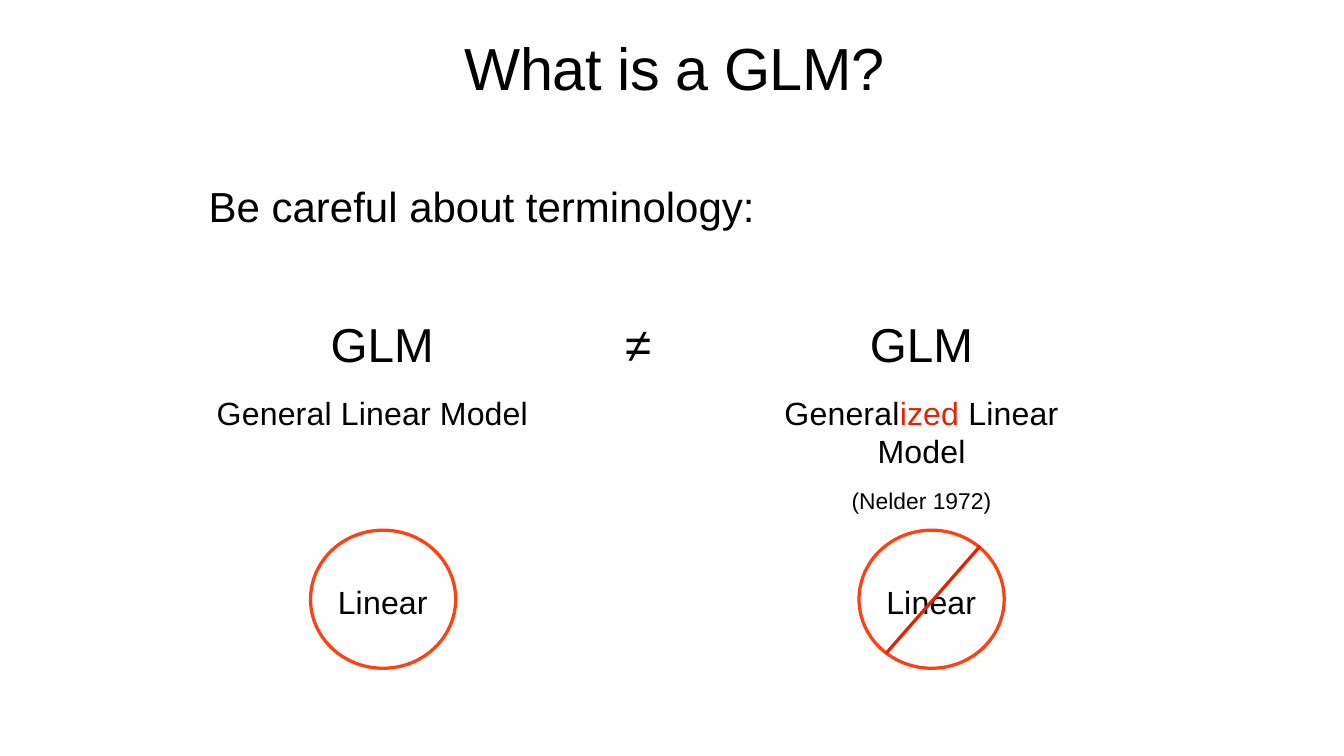
"""Build a slide that contrasts the general and the generalized linear model."""
from pptx import Presentation
from pptx.dml.color import RGBColor
from pptx.enum.shapes import MSO_CONNECTOR, MSO_SHAPE
from pptx.enum.text import PP_ALIGN
from pptx.util import Inches, Pt
from lxml.etree import SubElement
from pptx.oxml.ns import qn

COLORS = {"text": "000000", "accent": "E32400", "ring": "FF4013"}
FONT = "Arial"
LINE_WIDTH = Pt(2.32)
HEADING, LABEL, CITATION = 34, 22.9, 16.3
RING_TOP, RING_WIDTH, RING_HEIGHT = 5.26, 1.44, 1.37


def rgb(name):
    """Return the named colour."""
    return RGBColor.from_string(COLORS[name])


def add_text_box(slide, left, top, width, height):
    """Add a wrapping text box without margins and return its text frame."""
    frame = slide.shapes.add_textbox(
        Inches(left), Inches(top), Inches(width), Inches(height)).text_frame
    frame.word_wrap = True
    frame.margin_left = frame.margin_right = 0
    frame.margin_top = frame.margin_bottom = 0
    return frame


def write_paragraph(paragraph, parts, size, align=PP_ALIGN.LEFT,
                    before=0, indent=0, tracking=0):
    """Fill a paragraph with (text, colour name) parts."""
    paragraph.alignment = align
    paragraph.space_before = Pt(before)
    paragraph.font.name = FONT
    paragraph.font.size = Pt(size)
    paragraph._p.get_or_add_pPr().set("marL", str(Inches(indent)))
    for text, color in parts:
        run = paragraph.add_run()
        run.text = text
        run.font.color.rgb = rgb(color)
        run._r.get_or_add_rPr().set("spc", str(tracking))


def add_label(slide, text, box, size, **style):
    """Add a text box holding one paragraph of plain text."""
    frame = add_text_box(slide, *box)
    write_paragraph(frame.paragraphs[0], [(text, "text")], size, **style)


def add_linear_ring(slide, left):
    """Add an outlined ellipse around the word Linear."""
    add_label(slide, "Linear", (left + 0.27, 5.78, 0.95, 0.39), LABEL, tracking=10)
    ring = slide.shapes.add_shape(
        MSO_SHAPE.OVAL, Inches(left), Inches(RING_TOP),
        Inches(RING_WIDTH), Inches(RING_HEIGHT))
    ring.shadow.inherit = False
    ring.fill.background()
    ring.line.color.rgb = rgb("ring")
    ring.line.width = LINE_WIDTH


def add_strike(slide, start, end):
    """Add a straight line that crosses out a ring."""
    strike = slide.shapes.add_connector(
        MSO_CONNECTOR.STRAIGHT, *(Inches(value) for value in start + end))
    strike.line.color.rgb = rgb("accent")
    strike.line.width = LINE_WIDTH
    SubElement(strike._element.spPr, qn("a:effectLst"))


def add_general_model(slide):
    """Add the left column with the general linear model."""
    frame = add_text_box(slide, 2.15, 3.12, 3.2, 1.17)
    write_paragraph(frame.paragraphs[0], [("GLM", "text")], HEADING, indent=1.13)
    write_paragraph(frame.add_paragraph(), [("General Linear Model", "text")],
                    LABEL, before=15.3, tracking=10)


def add_generalized_model(slide):
    """Add the right column with the generalized linear model."""
    frame = add_text_box(slide, 7.54, 3.12, 3.2, 1.61)
    center = PP_ALIGN.CENTER
    write_paragraph(frame.paragraphs[0], [("GLM", "text")], HEADING, center)
    write_paragraph(
        frame.add_paragraph(),
        [("General", "text"), ("ized ", "accent"), ("Linear Model", "text")],
        LABEL, center, before=15.3, tracking=10)
    write_paragraph(frame.add_paragraph(), [("(Nelder 1972)", "text")],
                    CITATION, center, before=11.7)


def main():
    """Build and save the slide."""
    presentation = Presentation()
    presentation.slide_width = Inches(13.33)
    presentation.slide_height = Inches(7.5)
    slide = presentation.slides.add_slide(presentation.slide_layouts[6])

    add_label(slide, "What is a GLM?", (2.11, 0.31, 9.16, 0.71), 42.4,
              align=PP_ALIGN.CENTER, tracking=-30)
    add_label(slide, "Be careful about terminology:", (2.07, 1.79, 5.6, 0.5), 30)
    add_general_model(slide)
    add_label(slide, "≠", (6.2, 3.12, 0.3, 0.57), HEADING)
    add_generalized_model(slide)
    for left in (3.08, 8.52):
        add_linear_ring(slide, left)
    add_strike(slide, (8.79, 6.48), (9.72, 5.42))
    presentation.save("out.pptx")


if __name__ == "__main__":
    main()
